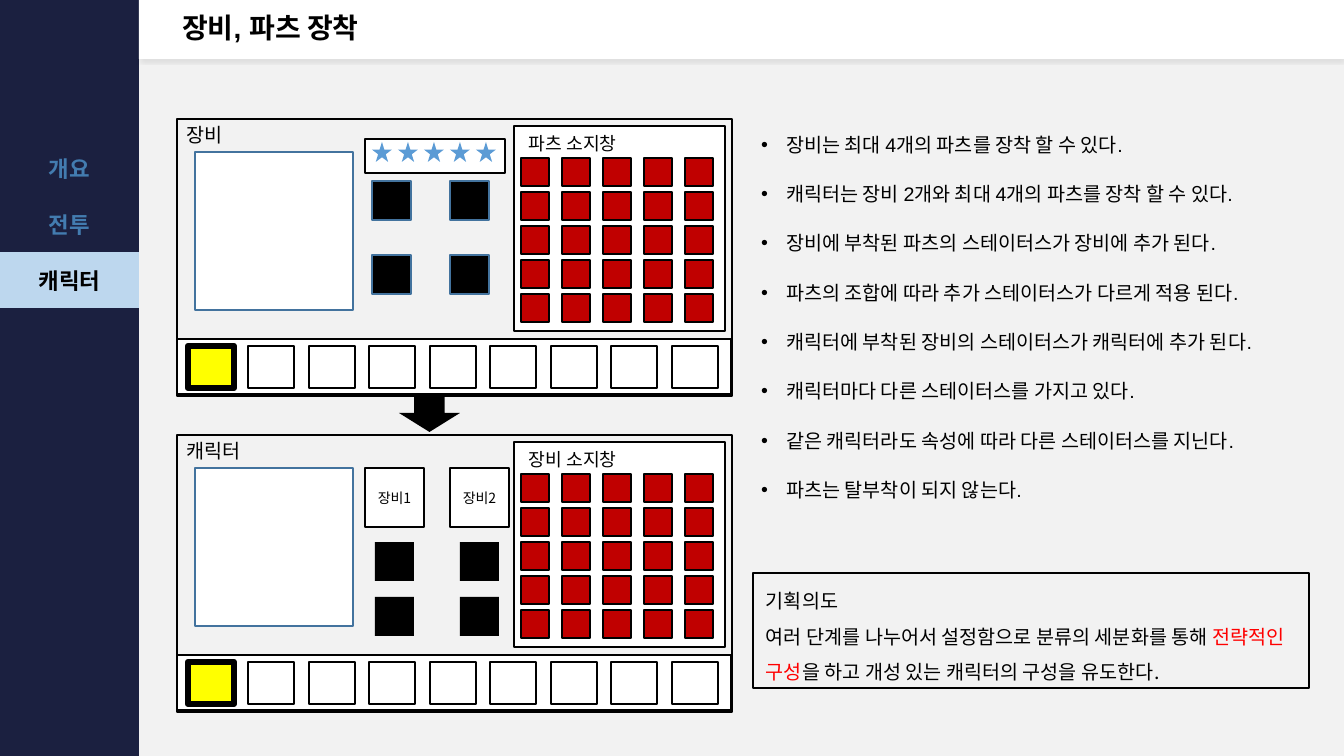
from itertools import product

from lxml.etree import SubElement
from pptx import Presentation
from pptx.dml.color import RGBColor
from pptx.enum.shapes import MSO_SHAPE as Kind
from pptx.enum.text import MSO_ANCHOR as Anchor, PP_ALIGN as Align
from pptx.oxml.ns import qn
from pptx.util import Pt

SCALE = 914400 / 100.8
NOTO = "Noto Sans CJK KR"
TABS = [("개요", "437CB0", "1B2040"), ("전투", "437CB0", "1B2040"),
        ("캐릭터", "000000", "BDD7EE"), ("", "000000", "1B2040")]
RULES = [
    "장비는 최대 4개의 파츠를 장착 할 수 있다.",
    "캐릭터는 장비 2개와 최대 4개의 파츠를 장착 할 수 있다.",
    "장비에 부착된 파츠의 스테이터스가 장비에 추가 된다.",
    "파츠의 조합에 따라 추가 스테이터스가 다르게 적용 된다.",
    "캐릭터에 부착된 장비의 스테이터스가 캐릭터에 추가 된다.",
    "캐릭터마다 다른 스테이터스를 가지고 있다.",
    "같은 캐릭터라도 속성에 따라 다른 스테이터스를 지닌다.",
    "파츠는 탈부착이 되지 않는다.",
]
AIM = [("여러 단계를 나누어서 설정함으로 분류의 세분화를 통해 ", "000000"),
       ("전략적인 구성", "FF0000"),
       ("을 하고 개성 있는 캐릭터의 구성을 유도한다.", "000000")]


def px(n):
    return round(n * SCALE)


def paint(color, hue):
    color.rgb = RGBColor.from_string(hue)


def fill(part, hue):
    part.fill.solid()
    paint(part.fill.fore_color, hue)


def style(para, size, hue="000000", bold=False, face=NOTO):
    for run in para.runs:
        font = run.font
        font.size, font.bold, font.name = Pt(size), bold, face
        paint(font.color, hue)


def draw(shapes, x, y, w, h, hue=None, edge=None, width=1, kind=Kind.RECTANGLE):
    """Add a preset shape; without a hue or an edge that part stays empty."""
    shape = shapes.add_shape(kind, px(x), px(y), px(w), px(h))
    shape.shadow.inherit = False
    if hue:
        fill(shape, hue)
    else:
        shape.fill.background()
    if edge:
        paint(shape.line.color, edge)
        shape.line.width = Pt(width)
    else:
        shape.line.fill.background()
    return shape


def label(shapes, x, y, w, h, text, size):
    frame = shapes.add_textbox(px(x), px(y), px(w), px(h)).text_frame
    frame.word_wrap = False
    frame.text = text
    style(frame.paragraphs[0], size)


def place(holder, x, y, w, h):
    holder.left, holder.top, holder.width, holder.height = map(px, (x, y, w, h))
    return holder.text_frame


def sidebar(shapes, x, y, w, h):
    draw(shapes, x, y, w, h, "1B2040")
    part = shapes.add_table(len(TABS), 1, px(x), px(y + 140), px(w), px(56 * len(TABS)))
    table = part.table
    table.first_row = table.horz_banding = False
    for tag in part.element.iter(qn("a:tableStyleId")):
        tag.text = "{2D5ABB26-0587-4C30-8999-92F81FD0307C}"
    for row, (text, hue, back) in enumerate(TABS):
        cell = table.cell(row, 0)
        fill(cell, back)
        cell.vertical_anchor = Anchor.MIDDLE
        cell.text = text
        para = cell.text_frame.paragraphs[0]
        para.alignment = Align.CENTER
        style(para, 16, hue, True)


def header(shapes, x, y, w, h):
    """Draw the top bar and lay the title over it."""
    bar = draw(shapes, x, y, w, h, "FFFFFF")
    glow = SubElement(bar.element.spPr.find(qn("a:effectLst")), qn("a:outerShdw"),
                      blurRad=str(Pt(2)), dist=str(Pt(2)), dir="5400000")
    black = SubElement(glow, qn("a:srgbClr"), val="000000")
    SubElement(black, qn("a:alpha"), val="8000")
    title = shapes.title
    bar.element.addnext(title.element)
    frame = place(title, x + 33, y, 1017, h)
    frame.vertical_anchor = Anchor.MIDDLE
    frame.text = "장비, 파츠 장착"
    para = frame.paragraphs[0]
    para.alignment, para.line_spacing = Align.LEFT, 0.9
    style(para, 20, bold=True, face="Arial")


def rules(body, x, y, w, h):
    frame = place(body, x, y, w, h)
    frame.text = "\n".join(RULES)
    for i, para in enumerate(frame.paragraphs):
        prop = para._p.get_or_add_pPr()
        prop.set("marL", "228600")
        prop.set("indent", "-228600")
        SubElement(prop, qn("a:buFont"), typeface="Arial")
        SubElement(prop, qn("a:buChar"), char="•")
        para.line_spacing, para.space_before = 1.5, Pt(10 if i else 0)
        style(para, 14, face="Arial")


def panel(shapes, x, y, name, bag):
    """Draw the parts that both windows share."""
    draw(shapes, x, y, 555, 277, "F2F2F2", "000000")
    draw(shapes, x + 18, y + 33, 158, 158, "FFFFFF", "43739E")
    draw(shapes, x, y + 220, 554, 55, "FFFFFF", "000000")
    for i in range(9):
        draw(shapes, x + 11 + 484 * i // 8, y + 227, 46, 42,
             "FFFFFF" if i else "FFFF00", "000000", 1 if i else 4.5)
    draw(shapes, x + 337, y + 7, 211, 205, "FFFFFF", "000000")
    for row, col in product(range(5), repeat=2):
        draw(shapes, x + 344 + 41 * col, y + 39 + 34 * row, 28, 28, "C00000", "000000")
    label(shapes, x + 342, y + 8, 119, 32, bag, 13)
    label(shapes, x, y - 1, 80, 34, name, 14)


def gems(shapes, x, y, dx, dy, edge=None):
    for row, col in product(range(2), repeat=2):
        draw(shapes, x + dx * col, y + dy * row, 39, 39, "000000", edge)


def gear(shapes, x, y):
    panel(shapes, x, y, "장비", "파츠 소지창")
    draw(shapes, x + 188, y + 20, 140, 34, "FFFFFF", "000000")
    for i in range(5):
        draw(shapes, x + 195 + 26 * i, y + 23, 20, 20, "5B9BD5", kind=Kind.STAR_5_POINT)
    gems(shapes, x + 195, y + 62, 78, 74, "43739E")


def hero(shapes, x, y):
    panel(shapes, x, y, "캐릭터", "장비 소지창")
    for i, text in enumerate(("장비1", "장비2")):
        box = draw(shapes, x + 188 + 85 * i, y + 33, 59, 59, "FFFFFF", "000000")
        box.text_frame.text = text
        para = box.text_frame.paragraphs[0]
        para.alignment = Align.CENTER
        style(para, 10)
    gems(shapes, x + 198, y + 107, 85, 55)


def note(shapes, x, y, w, h):
    frame = draw(shapes, x, y, w, h, edge="000000", width=1.5).text_frame
    frame.vertical_anchor = Anchor.MIDDLE
    frame.margin_left = frame.margin_right = px(13)
    frame.margin_top = frame.margin_bottom = px(6)
    frame.text = "기획의도\n"
    head, text = frame.paragraphs
    for para in (head, text):
        para.alignment, para.line_spacing = Align.LEFT, 1.5
    style(head, 14)
    for words, _ in AIM:
        text.add_run().text = words
    style(text, 14)
    for run, (_, hue) in zip(text.runs, AIM):
        paint(run.font.color, hue)


def main():
    deck = Presentation()
    deck.slide_width, deck.slide_height = px(1344), px(756)
    slide = deck.slides.add_slide(deck.slide_layouts[1])
    fill(slide.background, "F2F2F2")
    shapes = slide.shapes
    sidebar(shapes, 0, 0, 139, 756)
    header(shapes, 139, 0, 1205, 59)
    rules(slide.placeholders[1], 751, 116, 554, 603)
    gear(shapes.add_group_shape().shapes, 177, 119)
    hero(shapes.add_group_shape().shapes, 177, 435)
    note(shapes, 753, 573, 556, 115)
    draw(shapes, 399, 394, 61, 38, "000000", kind=Kind.DOWN_ARROW)
    deck.save("out.pptx")


if __name__ == "__main__":
    main()
